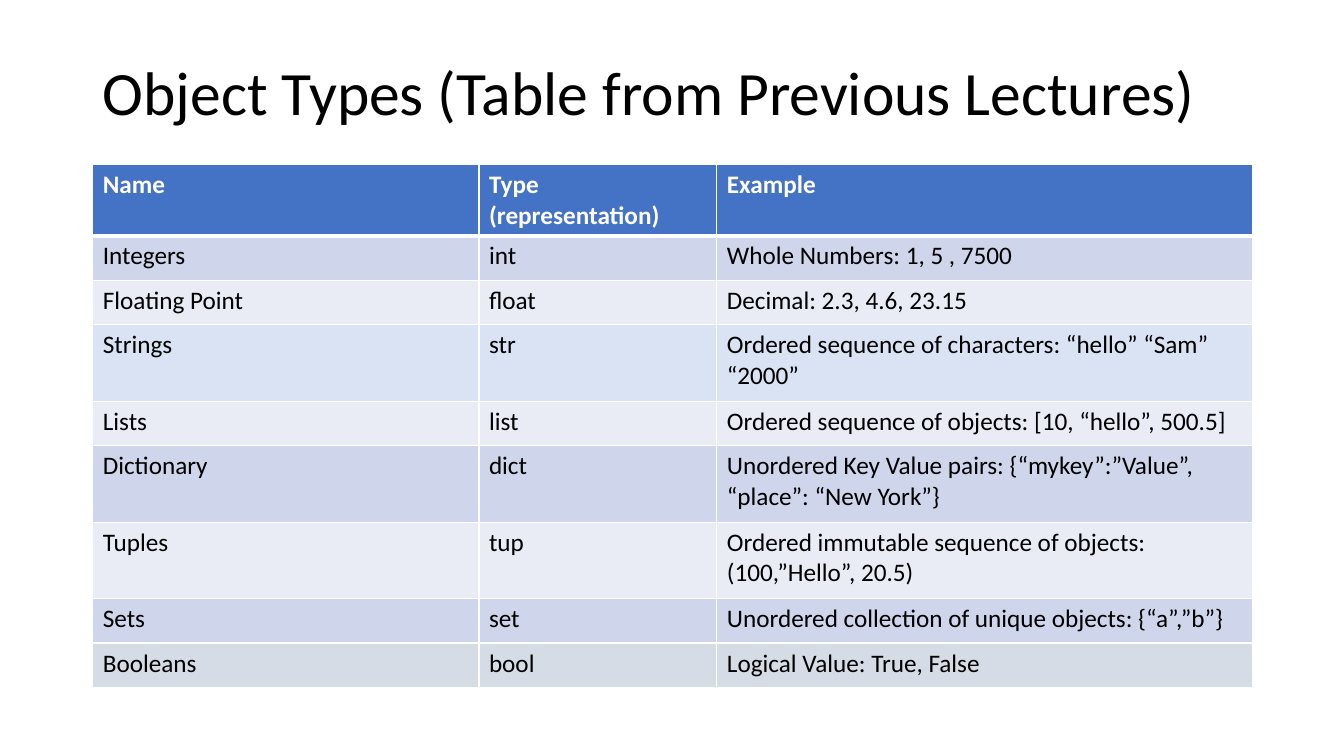
from lxml import etree
from pptx import Presentation
from pptx.dml.color import RGBColor
from pptx.enum import text
from pptx.oxml import ns
from pptx.util import Inches, Pt

BLUE = RGBColor(0x44, 0x72, 0xC4)
DARK = RGBColor(0xCF, 0xD5, 0xEA)
LIGHT = RGBColor(0xE9, 0xEB, 0xF5)
SKY = RGBColor(0xDA, 0xE3, 0xF3)
GREY = RGBColor(0xD6, 0xDC, 0xE5)
WHITE = RGBColor(0xFF, 0xFF, 0xFF)
BLACK = RGBColor(0, 0, 0)
FONT = "Calibri"

TITLE = "Object Types (Table from Previous Lectures)"
HEAD = ("Name", "Type (representation)", "Example")
TYPES = [
    ("Integers", "int", "Whole Numbers: 1, 5 , 7500"),
    ("Floating Point", "float", "Decimal: 2.3, 4.6, 23.15"),
    ("Strings", "str", "Ordered sequence of characters: “hello” “Sam” “2000”"),
    ("Lists", "list", "Ordered sequence of objects: [10, “hello”, 500.5]"),
    ("Dictionary", "dict", "Unordered Key Value pairs: {“mykey”:”Value”, “place”: “New York”}"),
    ("Tuples", "tup", "Ordered immutable sequence of objects: (100,”Hello”, 20.5)"),
    ("Sets", "set", "Unordered collection of unique objects: {“a”,”b”}"),
    ("Booleans", "bool", "Logical Value: True, False"),
]
TINTS = {"Strings": SKY, "Booleans": GREY}  # rows outside the banding
TALL = {"Strings", "Dictionary", "Tuples"}  # rows with two lines
COLS = (3.83, 2.36, 5.31)
ROW, ROW2 = 0.44, 0.76
LEFT, WIDE = 0.92, sum(COLS)


def style(font, size, color, bold=False):
    font.name, font.size, font.bold = FONT, Pt(size), bold
    font.color.rgb = color


def border(cell, side, width):
    line = etree.SubElement(cell._tc.get_or_add_tcPr(), ns.qn("a:ln" + side), w=str(Pt(width)))
    fill = etree.SubElement(line, ns.qn("a:solidFill"))
    etree.SubElement(fill, ns.qn("a:srgbClr"), val=str(WHITE))


deck = Presentation()
deck.slide_width, deck.slide_height = Inches(13.33), Inches(7.5)
slide = deck.slides.add_slide(deck.slide_layouts[5])

# Title
title = slide.shapes.title
title.left, title.top = Inches(LEFT), Inches(0.4)
title.width, title.height = Inches(WIDE), Inches(1.09)
frame = title.text_frame
frame.text = TITLE
frame.vertical_anchor = text.MSO_ANCHOR.MIDDLE
para = frame.paragraphs[0]
para.alignment = text.PP_ALIGN.LEFT
para.line_spacing = 0.9
style(para.runs[0].font, 44, BLACK)

# Table grid
rows = [HEAD] + TYPES
tall = [ROW2 if row[0] in TALL else ROW for row in rows]
table = slide.shapes.add_table(len(rows), len(COLS), Inches(LEFT), Inches(1.63),
                               Inches(WIDE), Inches(sum(tall))).table
for col, width in zip(table.columns, COLS):
    col.width = Inches(width)
for line, height in zip(table.rows, tall):
    line.height = Inches(height)

# Cells: blue header, then alternating bands
for i, row in enumerate(rows):
    top = i == 0
    band = BLUE if top else TINTS.get(row[0], DARK if i % 2 else LIGHT)
    for j, words in enumerate(row):
        cell = table.cell(i, j)
        for side in "LRTB":
            thick = (top and side == "B") or (i == 1 and side == "T")
            border(cell, side, 3 if thick else 1)
        cell.fill.solid()
        cell.fill.fore_color.rgb = band
        cell.text_frame.text = words
        style(cell.text_frame.paragraphs[0].runs[0].font, 18, WHITE if top else BLACK, top)

deck.save("out.pptx")
